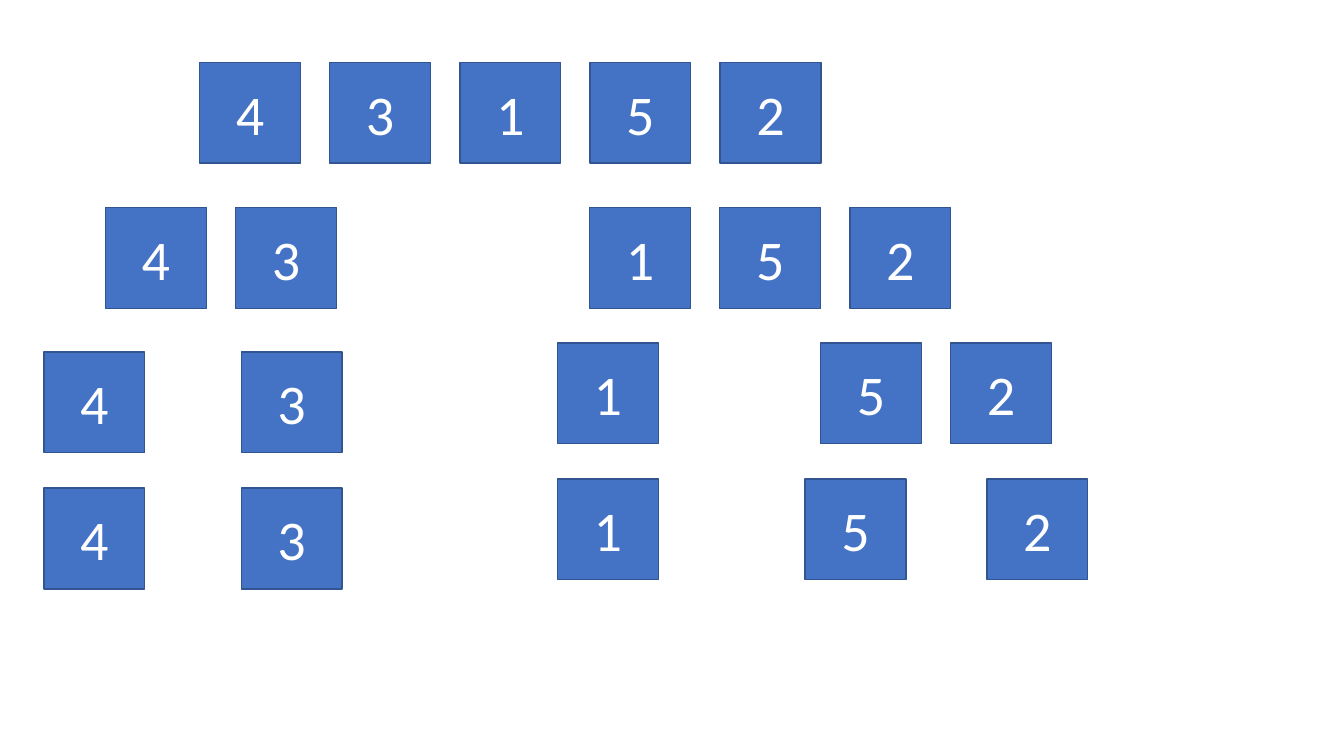
from dataclasses import dataclass

from pptx import Presentation
from pptx.dml.color import RGBColor
from pptx.enum.shapes import MSO_SHAPE
from pptx.enum.text import MSO_ANCHOR, PP_ALIGN
from pptx.util import Cm, Pt

RECTANGLE = MSO_SHAPE.RECTANGLE
MIDDLE = MSO_ANCHOR.MIDDLE
CENTER = PP_ALIGN.CENTER
BLANK_LAYOUT = 6


@dataclass(frozen=True)
class Theme:
    fill: RGBColor = RGBColor(0x44, 0x72, 0xC4)
    line: RGBColor = RGBColor(0x32, 0x54, 0x91)
    text: RGBColor = RGBColor(0xFF, 0xFF, 0xFF)
    font: str = "Calibri"
    digit_size: Pt = Pt(40)
    line_width: Pt = Pt(1)


THEME = Theme()
BOX = 2.54
PITCH = 3.28

# Each merge sort sublist: left and top in centimetres, then its digits.
SUBLISTS = [
    (5.03, 1.57, "43152"),
    (2.66, 5.23, "43"),
    (14.86, 5.23, "152"),
    (1.11, 8.87, "4"),
    (6.08, 8.87, "3"),
    (14.05, 8.64, "1"),
    (20.68, 8.64, "52"),
    (1.11, 12.3, "4"),
    (6.08, 12.3, "3"),
    (14.05, 12.07, "1"),
    (20.29, 12.07, "5"),
    (24.87, 12.07, "2"),
]


def add_digit_box(s, left, top, digit):
    sp = s.shapes.add_shape(RECTANGLE, Cm(left), Cm(top), Cm(BOX), Cm(BOX))
    sp.shadow.inherit = False
    sp.fill.solid()
    sp.fill.fore_color.rgb = THEME.fill
    sp.line.color.rgb = THEME.line
    sp.line.width = THEME.line_width
    tf = sp.text_frame
    tf.vertical_anchor = MIDDLE
    p = tf.paragraphs[0]
    p.alignment = CENTER
    r = p.add_run()
    r.text = digit
    r.font.name = THEME.font
    r.font.size = THEME.digit_size
    r.font.color.rgb = THEME.text


def add_sublist(s, left, top, digits):
    """Add a row of evenly spaced boxes, one for each digit."""
    for i, digit in enumerate(digits):
        add_digit_box(s, left + i * PITCH, top, digit)


def main():
    prs = Presentation()
    prs.slide_width = Cm(33.87)
    prs.slide_height = Cm(19.05)
    s = prs.slides.add_slide(prs.slide_layouts[BLANK_LAYOUT])
    for left, top, digits in SUBLISTS:
        add_sublist(s, left, top, digits)
    prs.save("out.pptx")


if __name__ == "__main__":
    main()
